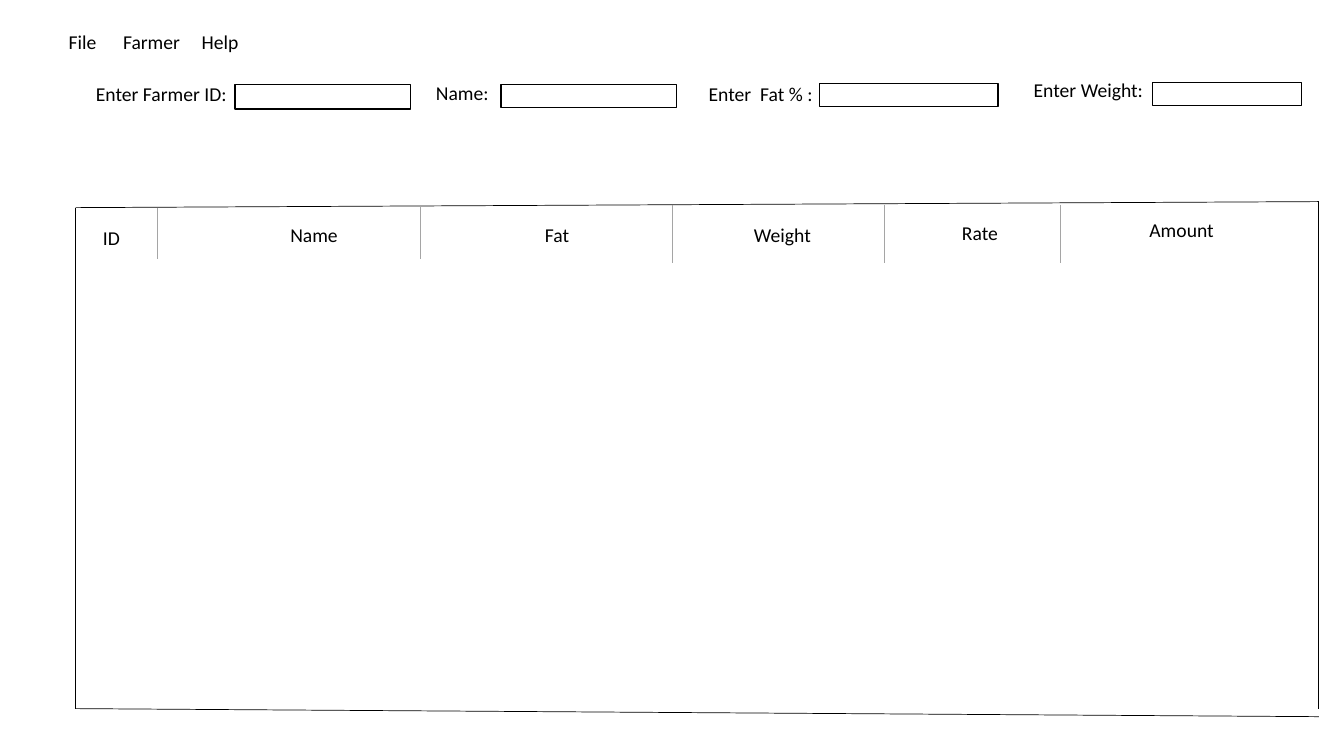
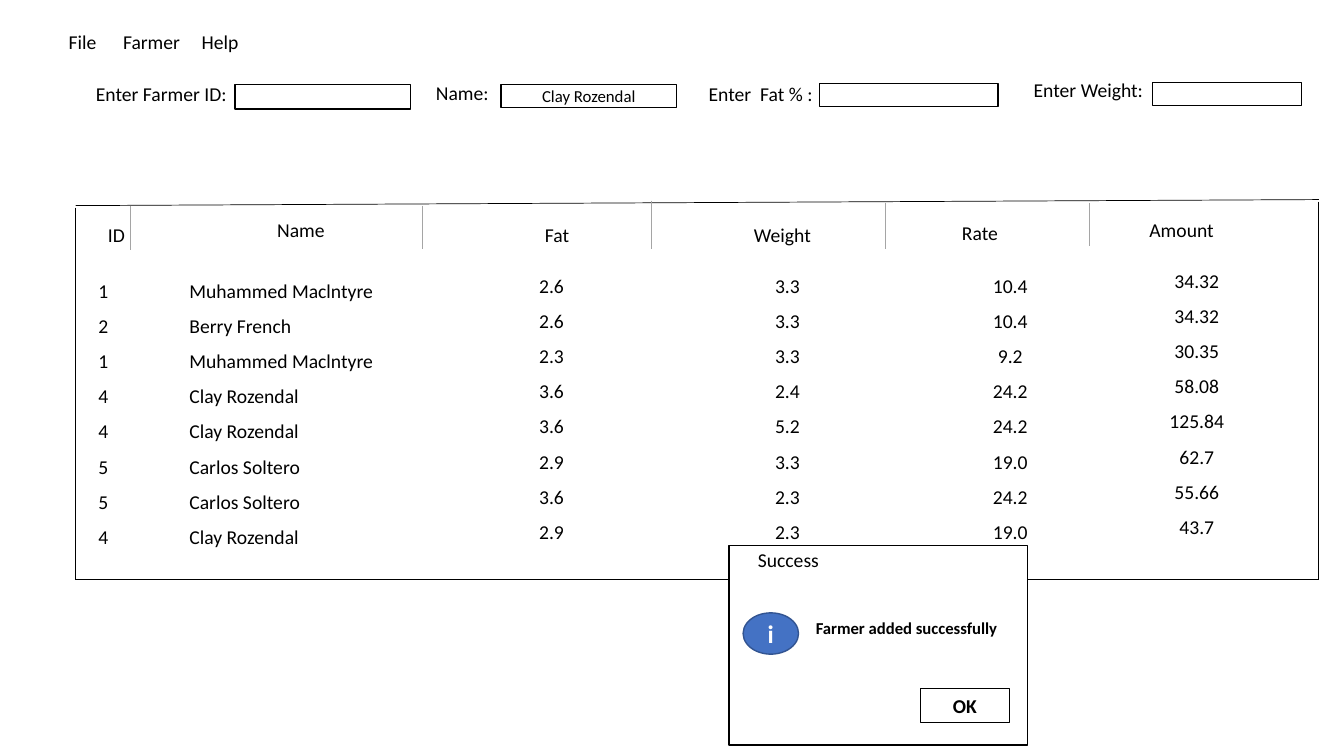
import pptx
import pptx.util
import pptx.dml.color
import pptx.enum.shapes
import pptx.enum.text
import pptx.oxml.ns
import lxml.etree

Inches = pptx.util.Inches
ALIGN = pptx.enum.text.PP_ALIGN
ANCHOR = pptx.enum.text.MSO_ANCHOR
SHAPE = pptx.enum.shapes.MSO_SHAPE

FONT = "Calibri"
BLACK, WHITE, GREY = "000000", "FFFFFF", "A5A5A5"
BLUE, DARK_BLUE = "4472C4", "325491"

# Region boxes: left, top, width, height
MENU_BOX = (0.58, 0, 2.5, 0.58)
FORM_BOX = (0, 0.75, 13.33, 0.82)
EMPTY_TABLE_BOX = (0.75, 2, 12.33, 5.03)
FILLED_TABLE_BOX = (0.75, 2, 12.33, 3.75)
DIALOG_BOX = (7.23, 5.41, 2.96, 1.98)

MENU_ITEMS = ["File", "Farmer", "Help"]
MENU_TABS = [0.54, 1.32]

# Form parts, relative to the form box: label, label place, field place
FORM_FIELDS = [
    ("Enter Farmer ID:", (0.1, 0.04, 3, 0.37), (2.33, 0.09, 1.74, 0.24)),
    ("Name:", (2.19, 0.03, 4.79, 0.79), (4.97, 0.09, 1.74, 0.23)),
    ("Enter  Fat % :", (6.46, 0.04, 2.17, 0.33), (8.13, 0.08, 1.77, 0.23)),
    ("Enter Weight:", (9.13, 0, 3.33, 0.37), (11.43, 0.07, 1.48, 0.23)),
]

# Table parts, relative to the table box
HEADINGS = {
    "ID": (0.08, 0.22, 0.55, 0.35),
    "Name": (1, 0.19, 2.73, 0.35),
    "Fat": (4.5, 0.19, 0.55, 0.42),
    "Weight": (6.27, 0.19, 1.48, 0.31),
    "Rate": (8.63, 0.17, 0.68, 0.34),
    "Amount": (10.23, 0.14, 1.48, 0.33),
}
FILLED_HEADINGS = HEADINGS | {
    "ID": (0.13, 0.19, 0.55, 0.35),
    "Name": (0.87, 0.14, 2.73, 0.35),
}
# Column dividers: x, top, bottom
EMPTY_DIVIDERS = [(0.81, 0.06, 0.57), (3.42, 0.04, 0.57), (5.92, 0.03, 0.61),
                  (8.02, 0.03, 0.61), (9.77, 0.03, 0.61)]
FILLED_DIVIDERS = [(0.54, 0.04, 0.48), (3.44, 0.04, 0.47), (5.71, -0.01, 0.47),
                   (8.03, 0.01, 0.47), (10.05, 0.01, 0.44)]
COLUMNS = [
    ((0, 0.74, 0.55, 3.86), ALIGN.CENTER),
    ((1.03, 0.74, 3.37, 3), ALIGN.LEFT),
    ((4.07, 0.69, 1.3, 3.33), ALIGN.CENTER),
    ((6.3, 0.69, 1.52, 2.89), ALIGN.CENTER),
    ((8.51, 0.69, 1.52, 2.89), ALIGN.CENTER),
    ((10.36, 0.64, 1.52, 2.95), ALIGN.CENTER),
]
RECORDS = [
    ("1", "Muhammed Maclntyre", "2.6", "3.3", "10.4", "34.32"),
    ("2", "Berry French", "2.6", "3.3", "10.4", "34.32"),
    ("1", "Muhammed Maclntyre", "2.3", "3.3", "9.2", "30.35"),
    ("4", "Clay Rozendal", "3.6", "2.4", "24.2", "58.08"),
    ("4", "Clay Rozendal", "3.6", "5.2", "24.2", "125.84"),
    ("5", "Carlos Soltero", "2.9", "3.3", "19.0", "62.7"),
    ("5", "Carlos Soltero", "3.6", "2.3", "24.2", "55.66"),
    ("4", "Clay Rozendal", "2.9", "2.3", "19.0", "43.7"),
]


def color(value):
    return pptx.dml.color.RGBColor.from_string(value)


def inside(box, place):
    left, top, width, height = place
    return [Inches(length) for length in (box[0] + left, box[1] + top, width, height)]


def write(shape, text, size=14, bold=False, ink=BLACK, align=ALIGN.CENTER,
          anchor=ANCHOR.TOP, line_spacing=0.9, space_before=10):
    frame = shape.text_frame
    frame.text = text
    frame.word_wrap = True
    frame.auto_size = pptx.enum.text.MSO_AUTO_SIZE.NONE
    frame.vertical_anchor = anchor
    for para in frame.paragraphs:
        para.alignment = align
        para.line_spacing = line_spacing
        para.space_before = pptx.util.Pt(space_before)
        for span in para.runs:
            span.font.name = FONT
            span.font.size = pptx.util.Pt(size)
            span.font.bold = bold
            span.font.color.rgb = color(ink)


def add_text(page, box, place, text, **style):
    write(page.shapes.add_textbox(*inside(box, place)), text, **style)


def add_outlined(page, box, place, text="", kind=SHAPE.RECTANGLE, fill=WHITE,
                 line=BLACK, **style):
    shape = page.shapes.add_shape(kind, *inside(box, place))
    shape.shadow.inherit = False
    shape.fill.solid()
    shape.fill.fore_color.rgb = color(fill)
    shape.line.color.rgb = color(line)
    shape.line.width = pptx.util.Pt(1)
    if text:
        write(shape, text, anchor=ANCHOR.MIDDLE, line_spacing=1, space_before=0, **style)
        shape.text_frame.margin_top = shape.text_frame.margin_bottom = 0


def add_line(page, box, start, end, ink):
    ends = [Inches(box[axis] + point[axis]) for point in (start, end) for axis in (0, 1)]
    line = page.shapes.add_connector(pptx.enum.shapes.MSO_CONNECTOR.STRAIGHT, *ends)
    line.line.color.rgb = color(ink)
    line.line.width = pptx.util.Pt(0.5)
    lxml.etree.SubElement(line._element.spPr, pptx.oxml.ns.qn("a:effectLst"))


def move(shape, box, place):
    shape.left, shape.top, shape.width, shape.height = inside(box, place)


def fill_menu(page, box):
    title = page.shapes.title
    move(title, box, (0, 0, box[2], box[3]))
    write(title, "\t".join(MENU_ITEMS), align=ALIGN.LEFT, anchor=ANCHOR.BOTTOM,
          space_before=0)
    # Tab stops set the gaps between the menu items
    properties = title.text_frame.paragraphs[0]._p.get_or_add_pPr()
    tabs = lxml.etree.SubElement(properties, pptx.oxml.ns.qn("a:tabLst"))
    for stop in MENU_TABS:
        lxml.etree.SubElement(tabs, pptx.oxml.ns.qn("a:tab"),
                              pos=str(int(Inches(stop))), algn="l")


def fill_form(page, box, values):
    for index, (label, label_place, field_place) in enumerate(FORM_FIELDS):
        if index == 0:
            subtitle = page.placeholders[1]
            move(subtitle, box, label_place)
            write(subtitle, label)
        else:
            add_text(page, box, label_place, label)
        add_outlined(page, box, field_place, values.get(label, ""), size=12)


def draw_table(page, box, headings, dividers, records, top_edge, bottom_drop):
    width, height = box[2:]
    # Headings and column texts
    for heading, place in headings.items():
        add_text(page, box, place, heading)
    for (place, align), cells in zip(COLUMNS, zip(*records)):
        add_text(page, box, place, "\n".join(cells), align=align)
    # Frame, whose top and bottom edges may slope
    add_line(page, box, (0, top_edge), (width, top_edge - 0.06), BLACK)
    add_line(page, box, (0, 0.06), (0, height), BLACK)
    add_line(page, box, (width, 0), (width, height), BLACK)
    add_line(page, box, (0, height), (width, height + bottom_drop), BLACK)
    for x, top, bottom in dividers:
        add_line(page, box, (x, top), (x, bottom), GREY)


def draw_dialog(page, box):
    add_outlined(page, box, (0, 0, box[2], box[3]))
    add_outlined(page, box, (0.14, 0.67, 0.55, 0.41), "i", kind=SHAPE.OVAL,
                 fill=BLUE, line=DARK_BLUE, size=18, bold=True, ink=WHITE)
    add_outlined(page, box, (1.9, 1.42, 0.88, 0.34), "OK", bold=True)
    add_text(page, box, (-0.25, 0, 1.68, 0.34), "Success")
    add_text(page, box, (0.69, 0.71, 2.14, 0.34), "Farmer added successfully",
             size=11.9, bold=True, line_spacing=0.8)


def add_page(deck, values):
    page = deck.slides.add_slide(deck.slide_layouts[0])
    fill_menu(page, MENU_BOX)
    fill_form(page, FORM_BOX, values)
    return page


deck = pptx.Presentation()
deck.slide_width = Inches(13.33)
deck.slide_height = Inches(7.5)

# Slide 1: empty entry window
entry_page = add_page(deck, {})
draw_table(entry_page, EMPTY_TABLE_BOX, HEADINGS, EMPTY_DIVIDERS, [], 0.06, 0.08)

# Slide 2: records and the success message
success_page = add_page(deck, {"Name:": "Clay Rozendal"})
draw_table(success_page, FILLED_TABLE_BOX, FILLED_HEADINGS, FILLED_DIVIDERS,
           RECORDS, 0.04, 0)
draw_dialog(success_page, DIALOG_BOX)

deck.save("out.pptx")
